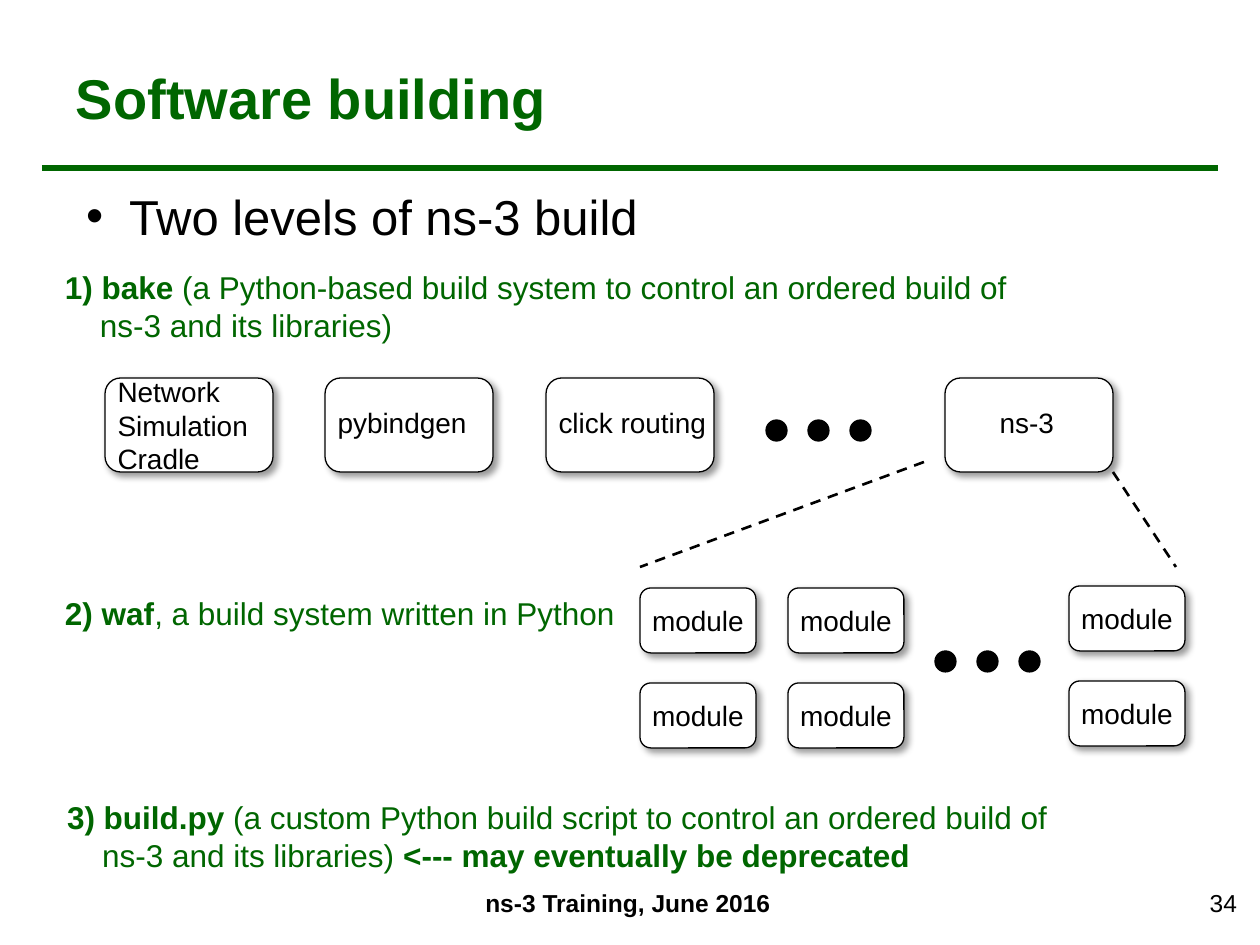
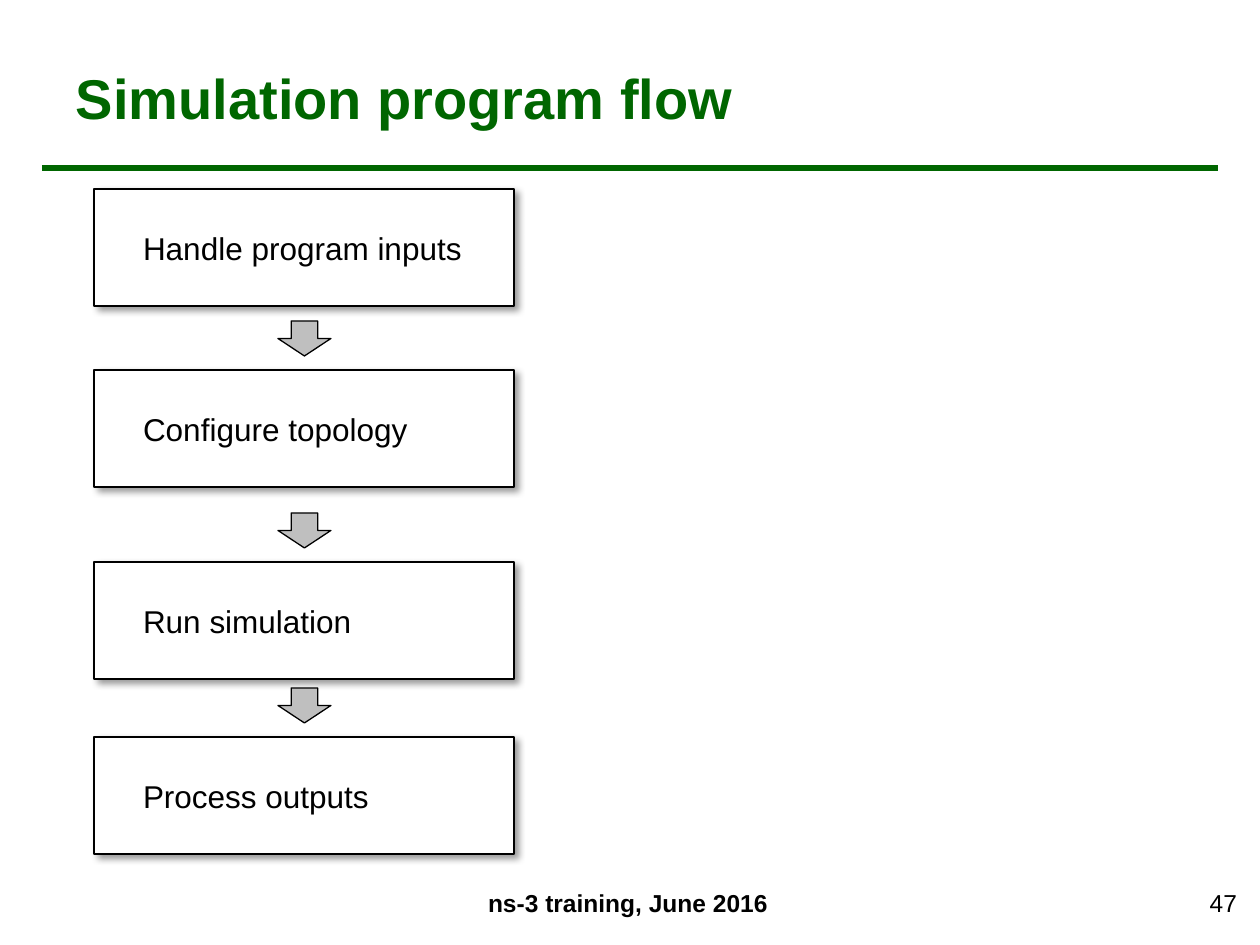
from dataclasses import dataclass

from lxml import etree
from pptx import Presentation
from pptx.dml.color import RGBColor as Rgb
from pptx.enum.dml import MSO_LINE_DASH_STYLE as Dash
from pptx.enum.shapes import MSO_CONNECTOR as Connector, MSO_SHAPE as Kind
from pptx.enum.text import MSO_ANCHOR as Anchor, PP_ALIGN as Align
from pptx.oxml.ns import qn
from pptx.util import Inches, Pt

PX = Inches(10) / 1260


@dataclass(frozen=True)
class Theme:
    font: str = "Arial"
    green: Rgb = Rgb(0x00, 0x66, 0x00)
    black: Rgb = Rgb(0, 0, 0)
    white: Rgb = Rgb(255, 255, 255)
    gray: Rgb = Rgb(0xBF, 0xBF, 0xBF)
    title: int = 32
    bullet: int = 28
    body: int = 18
    label: int = 16
    footer: int = 14


theme = Theme()


def draw(slide, kind, box, fill=theme.white, shadow=True):
    """Add a preset shape, or a text box when kind is None."""
    area = [round(value * PX) for value in box]
    if kind is None:
        return slide.shapes.add_textbox(*area)
    shape = slide.shapes.add_shape(kind, *area)
    shape.fill.solid()
    shape.fill.fore_color.rgb = fill
    shape.line.color.rgb = theme.black
    shape.line.width = Pt(0.75)
    shape.shadow.inherit = False
    if shadow:
        effects = shape._element.spPr.find(qn("a:effectLst"))
        outer = etree.SubElement(effects, qn("a:outerShdw"), blurRad=str(Pt(4)),
                                 dist=str(Pt(3)), dir="2700000", rotWithShape="0")
        color = etree.SubElement(outer, qn("a:srgbClr"), val="000000")
        etree.SubElement(color, qn("a:alpha"), val="40000")
    return shape


def write(shape, lines, size, color=theme.black, bold=False, align=Align.LEFT,
          anchor=Anchor.TOP, insets=(13, 6, 13, 6), hang=0, bullet=False):
    """Fill a shape with lines; a line is a string or a list of (text, bold) runs."""
    frame = shape.text_frame
    frame.word_wrap = True
    frame.vertical_anchor = anchor
    (frame.margin_left, frame.margin_top, frame.margin_right,
     frame.margin_bottom) = [round(value * PX) for value in insets]
    for number, line in enumerate(lines):
        paragraph = frame.add_paragraph() if number else frame.paragraphs[0]
        paragraph.alignment = align
        properties = paragraph._p.get_or_add_pPr()
        if bullet:
            properties.set("indent", str(round(-hang * PX)))
            etree.SubElement(properties, qn("a:buFont"), typeface=theme.font)
            etree.SubElement(properties, qn("a:buChar"), char="•")
        if bullet or number:
            properties.set("marL", str(round(hang * PX)))
        paragraph.font.name = theme.font
        paragraph.font.size = Pt(size)
        paragraph.font.color.rgb = color
        if isinstance(line, str):
            paragraph.font.bold = bold
            paragraph.add_run().text = line
        else:
            for text, run_bold in line:
                run = paragraph.add_run()
                run.text = text
                run.font.bold = run_bold


deck = Presentation()
deck.slide_width, deck.slide_height = Inches(10), Inches(7.5)

# Titles, rules and footers shared by both slides
pages = [
    ("Software building", "ns-3 Training, June 2016", "34"),
    ("Simulation program flow", "ns-3 training, June 2016", "47"),
]
lines = []
for title, footer, page_number in pages:
    slide = deck.slides.add_slide(deck.slide_layouts[6])
    write(draw(slide, None, (63, 38, 1130, 118)), [title], theme.title,
          theme.green, bold=True, anchor=Anchor.MIDDLE)
    write(draw(slide, None, (431, 882, 394, 63)), [footer], theme.footer,
          bold=True, align=Align.CENTER)
    write(draw(slide, None, (960, 882, 290, 63)), [page_number], theme.footer,
          align=Align.RIGHT)
    lines.append((slide, (42, 168, 1218, 168), theme.green, 3, None))
building, flow = deck.slides

# Software building: bullet and the three build systems
write(draw(building, None, (73, 180, 1130, 70)), ["Two levels of ns-3 build"],
      theme.bullet, hang=43, bullet=True)
build_systems = [
    (52, 262, 1022, [
        [("1) bake", True),
         (" (a Python-based build system to control an ordered build of", False)],
        "ns-3 and its libraries)"]),
    (52, 588, 585, [
        [("2) waf", True), (", a build system written in Python", False)]]),
    (54, 792, 1024, [
        [("3) build.py", True),
         (" (a custom Python build script to control an ordered build of", False)],
        [("ns-3 and its libraries) ", False),
         ("<--- may eventually be deprecated", True)]]),
]
for left, top, width, text in build_systems:
    height = 50 if len(text) == 1 else 89
    write(draw(building, None, (left, top, width, height)), text, theme.body,
          theme.green, hang=35)

# Libraries ordered by bake: left, label lines, left inset, bottom inset
libraries = [
    (105, ["Network", "Simulation", "Cradle"], 8, 0),
    (325, ["pybindgen"], 8, 5),
    (546, ["click routing"], 8, 5),
    (945, ["ns-3"], 50, 5),
]
for left, label, indent, lift in libraries:
    library = draw(building, Kind.FLOWCHART_ALTERNATE_PROCESS, (left, 378, 168, 94))
    write(library, label, theme.label, anchor=Anchor.MIDDLE,
          insets=(indent, 0, 0, lift))

# Modules built by waf, two in each column
for left, top in [(640, 588), (788, 588), (1069, 586)]:
    for row in range(2):
        module = draw(building, Kind.FLOWCHART_ALTERNATE_PROCESS,
                      (left, top + 95 * row, 116, 65))
        write(module, ["module"], theme.label, anchor=Anchor.MIDDLE,
              insets=(9, 0, 0, 0))

# Ellipses for further libraries and modules
for left, top in [(766, 420), (935, 651)]:
    for step in range(3):
        draw(building, Kind.OVAL, (left + 42 * step, top, 21, 21),
             theme.black, shadow=False)

# Zoom from ns-3 down to its modules
for ends in [(924, 462, 640, 567), (1113, 472, 1176, 567)]:
    lines.append((building, ends, theme.black, 1.5, Dash.DASH))

# Simulation program flow: steps, each entered by an arrow except the first
steps = [
    (189, "Handle program inputs"),
    (370, "Configure topology"),
    (562, "Run simulation"),
    (737, "Process outputs"),
]
for number, (top, step_name) in enumerate(steps):
    step_box = draw(flow, Kind.RECTANGLE, (94, top, 420, 117))
    write(step_box, [step_name], theme.body, anchor=Anchor.MIDDLE,
          insets=(49, 6, 13, 6))
    if number:
        draw(flow, Kind.DOWN_ARROW, (278, top - 49, 53, 35), theme.gray, shadow=False)

# Title rules and zoom lines
for slide, ends, color, width, dash in lines:
    line = slide.shapes.add_connector(
        Connector.STRAIGHT, *[round(value * PX) for value in ends])
    line.line.color.rgb = color
    line.line.width = Pt(width)
    if dash:
        line.line.dash_style = dash
    etree.SubElement(line._element.spPr, qn("a:effectLst"))

deck.save("out.pptx")
